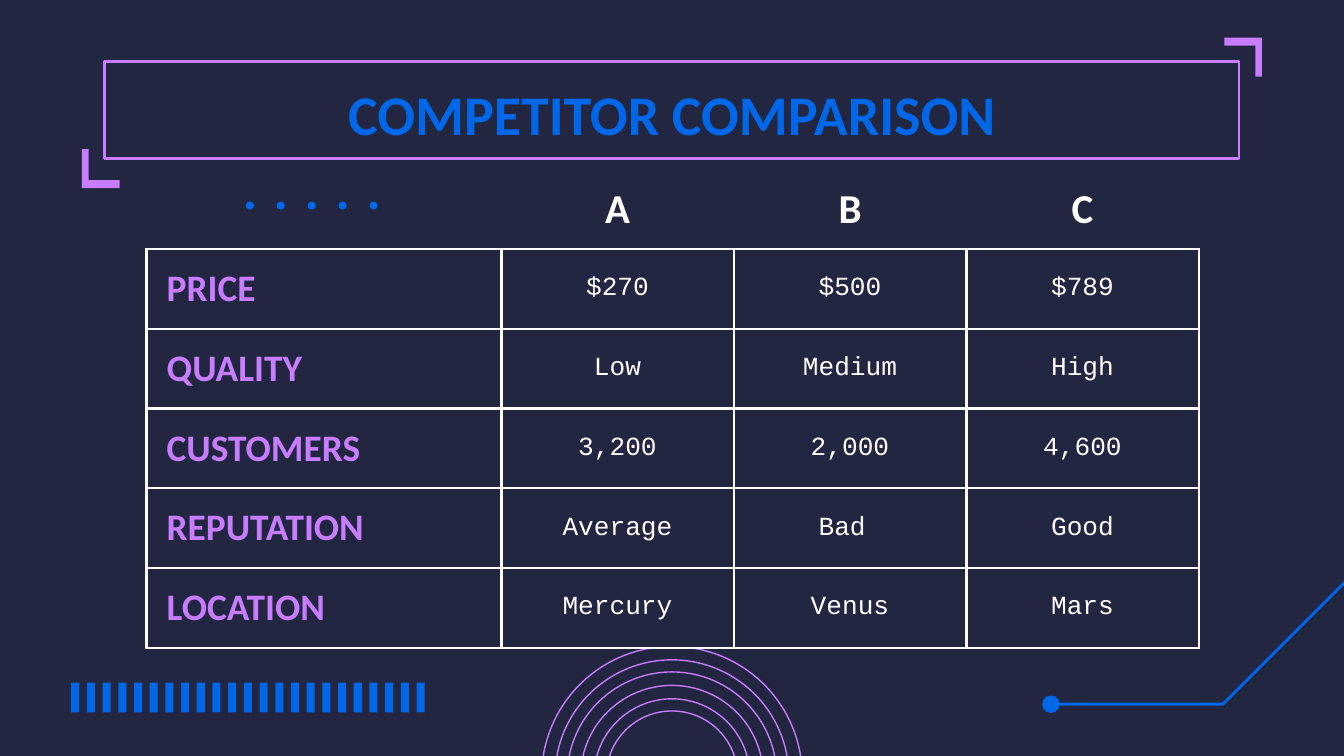
from dataclasses import dataclass
from typing import Optional

from lxml.etree import SubElement
from pptx import Presentation
from pptx.dml.color import RGBColor
from pptx.enum.shapes import MSO_SHAPE
from pptx.enum.text import MSO_ANCHOR, PP_ALIGN
from pptx.oxml import parse_xml
from pptx.oxml.ns import nsdecls, qn
from pptx.util import Inches, Pt

RECT, OVAL = MSO_SHAPE.RECTANGLE, MSO_SHAPE.OVAL
LEFT, MID = PP_ALIGN.LEFT, PP_ALIGN.CENTER
TOP, HALF = MSO_ANCHOR.TOP, MSO_ANCHOR.MIDDLE

HUES = {"navy": "222640", "blue": "0068E8", "lilac": "C87CFF", "white": "FFFFFF"}

WIDE, HIGH = 10, 10 * 9 / 16
RINGS = [0.49, 0.58, 0.68, 0.78, 0.87, 0.97]
BARS = 23
COLS = [2.64, 1.73, 1.73, 1.73]
ROWS = [
    ["", "A", "B", "C"],
    ["PRICE", "$270", "$500", "$789"],
    ["QUALITY", "Low", "Medium", "High"],
    ["CUSTOMERS", "3,200", "2,000", "4,600"],
    ["REPUTATION", "Average", "Bad ", "Good"],
    ["LOCATION", "Mercury", "Venus", "Mars"],
]
CORNER = [(0.61, 1.11), (0.61, 1.4), (0.89, 1.4), (0.89, 1.34), (0.66, 1.34), (0.66, 1.11)]

Points = list[tuple[float, float]]


@dataclass
class Type:
    face: str
    size: int
    hue: str
    bold: bool
    align: PP_ALIGN = MID


@dataclass
class Look:
    fill: Optional[str] = None
    line: Optional[str] = None
    width: float = 0.75


TITLE = Type("Calibri", 30, "blue", True)
HEAD = Type("Calibri", 22, "white", True)
LABEL = Type("Calibri", 20, "lilac", True, LEFT)
VALUE = Type("Courier New", 14, "white", False)


def color(hue: str) -> RGBColor:
    return RGBColor.from_string(HUES[hue])


def paint(shape, look: Look) -> None:
    shape.shadow.inherit = False
    if look.fill:
        shape.fill.solid()
        shape.fill.fore_color.rgb = color(look.fill)
    else:
        shape.fill.background()
    if look.line:
        shape.line.color.rgb = color(look.line)
        shape.line.width = Pt(look.width)
    else:
        shape.line.fill.background()


def draw(slide, kind: MSO_SHAPE, x: float, y: float, w: float, h: float, look: Look) -> None:
    paint(slide.shapes.add_shape(kind, Inches(x), Inches(y), Inches(w), Inches(h)), look)


def trace(slide, loops: list[Points], look: Look, close: bool = True) -> None:
    paths = [[(Inches(x), Inches(y)) for x, y in loop] for loop in loops]
    pen = slide.shapes.build_freeform(*paths[0][0])
    for num, path in enumerate(paths):
        if num:
            pen.move_to(*path[0])
        pen.add_line_segments(path[1:], close=close)
    paint(pen.convert_to_shape(), look)


def write(frame, text: str, style: Type) -> None:
    para = frame.paragraphs[0]
    para.text = text
    para.alignment = style.align
    font = para.font
    font.name, font.size, font.bold = style.face, Pt(style.size), style.bold
    font.color.rgb = color(style.hue)


def edge(cell, sides: str) -> None:
    props = cell._tc.get_or_add_tcPr()
    for spot, side in enumerate("LRTB"):
        line = parse_xml(f'<a:ln{side} {nsdecls("a")} w="{Pt(1.5)}"/>')
        if side in sides:
            fill = SubElement(line, qn("a:solidFill"))
            SubElement(fill, qn("a:srgbClr"), val=HUES["white"])
        else:
            SubElement(line, qn("a:noFill"))
        props.insert(spot, line)


def add_grid(slide) -> None:
    grid = slide.shapes.add_table(
        len(ROWS), len(COLS), Inches(1.09), Inches(1.26), Inches(sum(COLS)), Inches(3.56)
    ).table
    grid.first_row = grid.horz_banding = False
    for col, width in zip(grid.columns, COLS):
        col.width = Inches(width)
    for r, row in enumerate(ROWS):
        for c, text in enumerate(row):
            cell = grid.cell(r, c)
            style = HEAD if r == 0 else VALUE if c else LABEL
            cell.vertical_anchor = HALF
            cell.margin_top = cell.margin_bottom = Inches(0.1)
            cell.margin_left = Inches(0.15 if style is LABEL else 0.1)
            cell.margin_right = Inches(0.05 if style is LABEL else 0.1)
            if text:
                write(cell.text_frame, text, style)
            edge(cell, "LRTB" if r else "B")
            if r:
                cell.fill.solid()
                cell.fill.fore_color.rgb = color("navy")
            else:
                cell.fill.background()


def add_title(slide) -> None:
    draw(slide, RECT, 0.78, 0.46, 8.44, 0.72, Look(line="lilac", width=1.5))
    turned = [(WIDE - x, 1.68 - y) for x, y in CORNER]
    for loop in (CORNER, turned):
        trace(slide, [loop], Look("lilac"))
    box = slide.shapes.add_textbox(Inches(0.78), Inches(0.49), Inches(8.44), Inches(0.63))
    frame = box.text_frame
    frame.word_wrap = True
    frame.vertical_anchor = TOP
    frame.margin_left = frame.margin_right = Inches(0.1)
    frame.margin_top = frame.margin_bottom = Inches(0.1)
    write(frame, "COMPETITOR COMPARISON", TITLE)


def add_decor(slide) -> None:
    for rad in RINGS:
        draw(slide, OVAL, 5 - rad, 5.78 - rad, 2 * rad, 2 * rad, Look(line="lilac"))
    lefts = [0.53 + 2.57 * num / (BARS - 1) for num in range(BARS)]
    bars = [[(x, 5.08), (x, 5.3), (x + 0.06, 5.3), (x + 0.06, 5.08)] for x in lefts]
    trace(slide, bars, Look("blue"))
    draw(slide, OVAL, 7.76, 5.18, 0.12, 0.12, Look("blue", "blue"))
    track = [(10.56, 3.78), (9.1, 5.24), (7.82, 5.24)]
    trace(slide, [track], Look(line="blue", width=1.5), close=False)


def main() -> None:
    deck = Presentation()
    deck.slide_width, deck.slide_height = Inches(WIDE), Inches(HIGH)
    slide = deck.slides.add_slide(deck.slide_layouts[6])
    slide.background.fill.solid()
    slide.background.fill.fore_color.rgb = color("navy")
    add_decor(slide)
    add_title(slide)
    add_grid(slide)
    for num in range(5):
        draw(slide, OVAL, 1.83 + 0.23 * num, 1.5, 0.06, 0.06, Look("blue"))
    deck.save("out.pptx")


if __name__ == "__main__":
    main()
